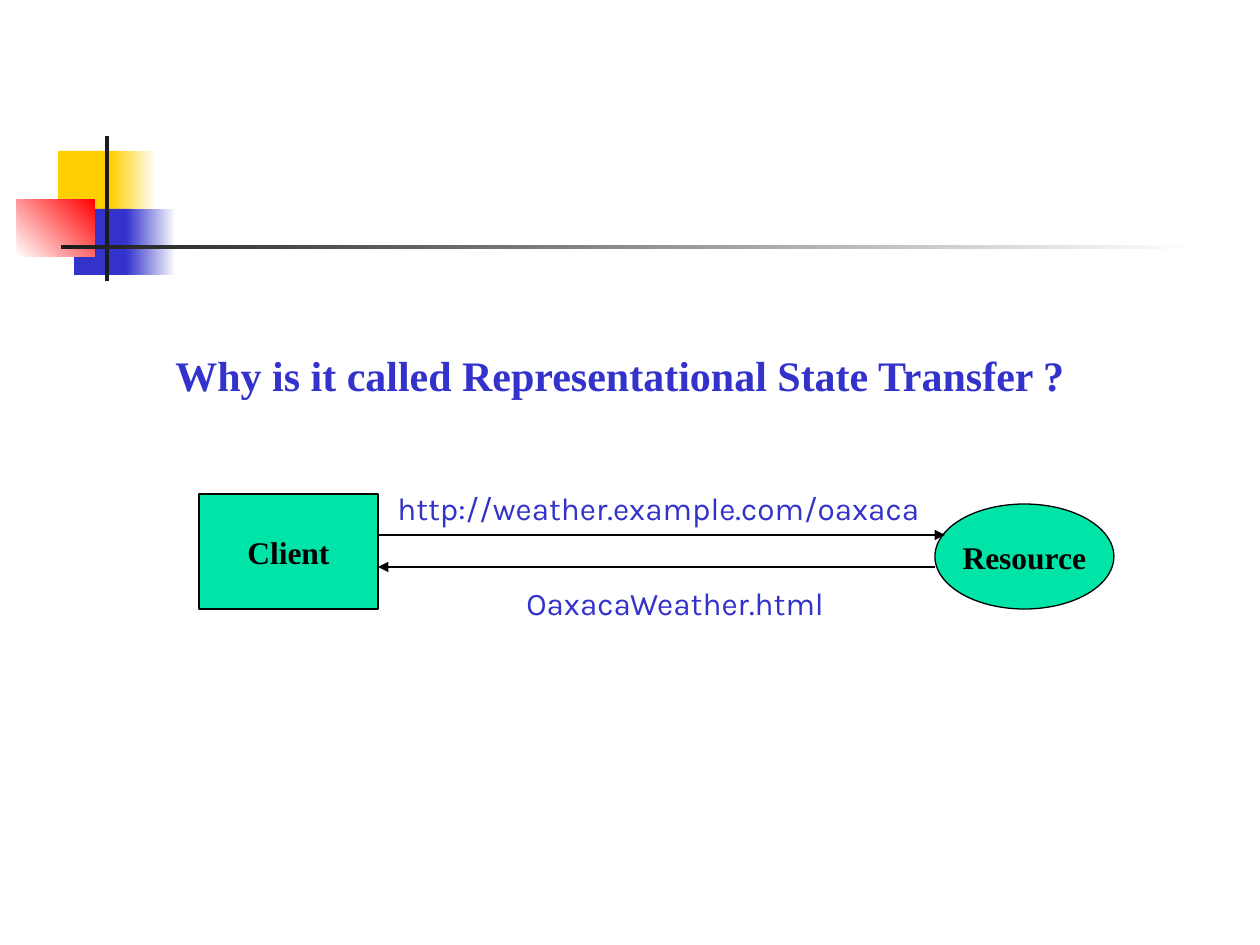
from pptx import Presentation, util as u
from pptx.dml.color import RGBColor
from pptx.enum import shapes, text
from lxml import etree

PX = 914400 // 126
YELLOW = RGBColor(0xFF, 0xCF, 0x01)
BLUE = RGBColor(0x33, 0x33, 0xCC)
RED = RGBColor(0xFF, 0, 0)
DARK = RGBColor(0x1C, 0x1C, 0x1C)
GREEN = RGBColor(0, 0xE4, 0xA8)
BLACK = RGBColor(0, 0, 0)
WHITE = RGBColor(0xFF, 0xFF, 0xFF)
SERIF, SANS = "Times New Roman", "Karla"
KIND = shapes.MSO_SHAPE

deck = Presentation()
deck.slide_width, deck.slide_height = u.Inches(10), u.Inches(7.5)
slide = deck.slides.add_slide(deck.slide_layouts[6])


def add_form(kind, box, start, end=None, angle=0):
    form = slide.shapes.add_shape(kind, *(n * PX for n in box))
    form.shadow.inherit = False
    form.line.fill.background()
    if end is None:
        form.fill.solid()
        form.fill.fore_color.rgb = start
    else:
        form.fill.gradient()
        form.fill.gradient_angle = angle
        for stop, color in zip(form.fill.gradient_stops, (start, end)):
            stop.color.rgb = color
    return form


def put_text(form, words, size, face, color, bold=False):
    frame = form.text_frame
    frame.text = words
    frame.word_wrap = False
    font = frame.paragraphs[0].runs[0].font
    font.size, font.name, font.bold = u.Pt(size), face, bold
    font.color.rgb = color
    return frame


# Corner ornament and rule
for box, *paint in (
    ((58, 151, 60, 66), YELLOW),
    ((111, 151, 45, 66), YELLOW, WHITE),
    ((74, 209, 58, 66), BLUE),
    ((126, 209, 50, 66), BLUE, WHITE),
    ((17, 199, 78, 58), WHITE, RED, 45),
    ((105, 136, 4, 145), DARK),
    ((61, 245, 1134, 4), DARK, WHITE),
):
    add_form(KIND.RECTANGLE, box, *paint)

# Client and resource
for kind, box, words in (
    (KIND.RECTANGLE, (199, 494, 179, 115), "Client"),
    (KIND.OVAL, (935, 504, 179, 105), "Resource"),
):
    node = add_form(kind, box, GREEN)
    node.line.color.rgb = BLACK
    node.line.width = u.Pt(0.75)
    frame = put_text(node, words, 18, SERIF, BLACK, True)
    frame.vertical_anchor = text.MSO_ANCHOR.MIDDLE
    frame.paragraphs[0].alignment = text.PP_ALIGN.CENTER

# Request and response arrows
for start, end, y in ((378, 945, 535), (935, 378, 567)):
    arrow = slide.shapes.add_connector(
        shapes.MSO_CONNECTOR.STRAIGHT, start * PX, y * PX, end * PX, y * PX)
    arrow.line.color.rgb = BLACK
    arrow.line.width = u.Pt(0.75)
    props = arrow.line._get_or_add_ln()
    space = "{" + props.nsmap["a"] + "}"
    etree.SubElement(props, space + "tailEnd", type="triangle")
    etree.SubElement(props.getparent(), space + "effectLst")

# Heading and arrow labels
for box, *style in (
    ((163, 343, 920, 60), "Why is it called Representational State Transfer ?",
     24, SERIF, BLUE, True),
    ((385, 483, 571, 50), "http://weather.example.com/oaxaca", 18, SANS, BLUE),
    ((514, 578, 338, 50), "OaxacaWeather.html", 18, SANS, BLUE),
):
    label = slide.shapes.add_textbox(*(n * PX for n in box))
    put_text(label, *style)
    # The heading keeps to the left edge of its wide box
    label.text_frame.word_wrap = True

deck.save("out.pptx")
